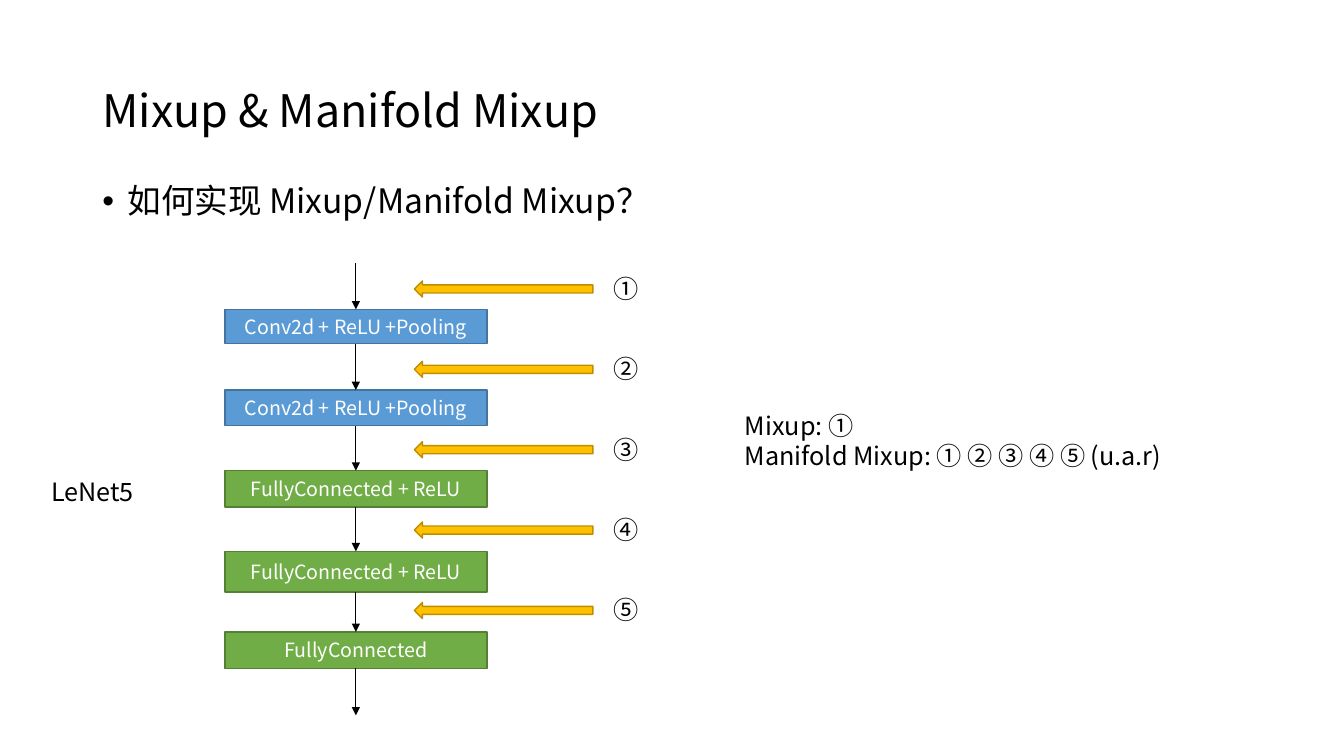
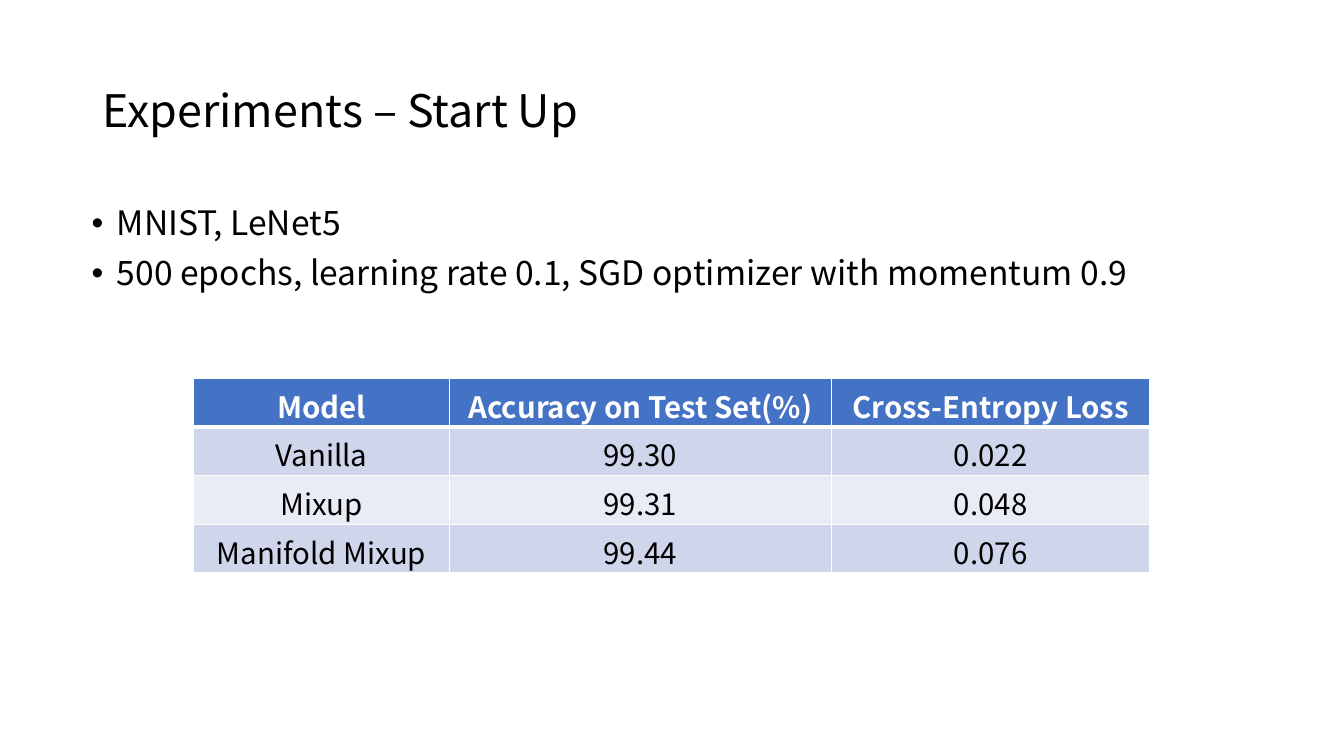
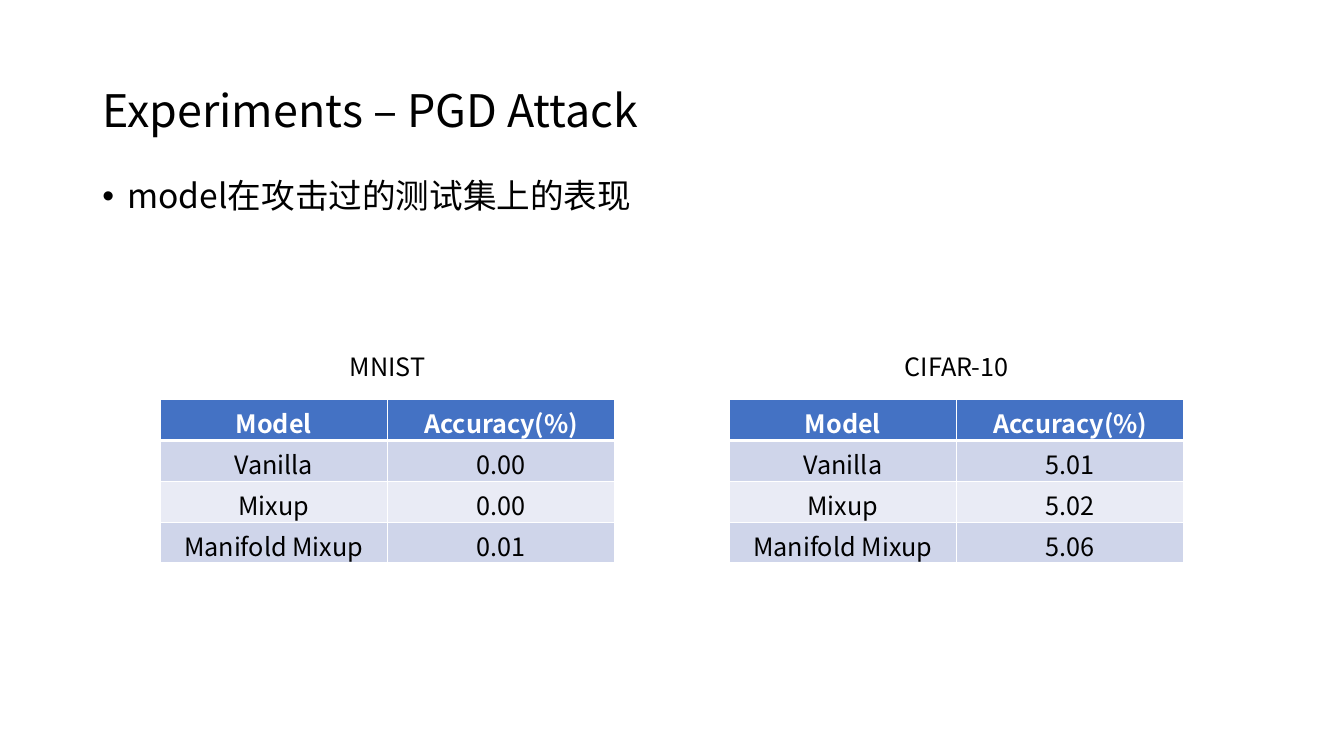
from lxml.etree import SubElement
from pptx import Presentation
from pptx.dml.color import RGBColor
from pptx.enum.shapes import MSO_CONNECTOR, MSO_SHAPE
from pptx.enum.text import MSO_ANCHOR, MSO_AUTO_SIZE, PP_ALIGN
from pptx.oxml.ns import qn
from pptx.util import Pt

# Shared style
FONT = "Noto Sans CJK SC"
MONO_FONT = "Noto Sans Mono"
BLACK = RGBColor(0x00, 0x00, 0x00)
WHITE = RGBColor(0xFF, 0xFF, 0xFF)
BLUE = RGBColor(0x5B, 0x9B, 0xD5)
BLUE_EDGE = RGBColor(0x43, 0x73, 0x9E)
GREEN = RGBColor(0x70, 0xAD, 0x47)
GREEN_EDGE = RGBColor(0x53, 0x80, 0x35)
GOLD = RGBColor(0xFF, 0xC0, 0x00)
GOLD_EDGE = RGBColor(0xBD, 0x8E, 0x00)
HEADER_FILL = RGBColor(0x44, 0x72, 0xC4)
BAND_FILLS = (RGBColor(0xCF, 0xD5, 0xEA), RGBColor(0xE9, 0xEB, 0xF5))

# Network diagram: tops follow one pitch
PITCH = 57.6
LAYER_LEFT, LAYER_WIDTH, LAYER_TOP = 160.6, 187.2, 221
FLOW_TOP, FLOW_BOTTOM = 188, 511
MARK_TOP = 200.7
LAYERS = (
    ("Conv2d + ReLU +Pooling", 24.5, BLUE, BLUE_EDGE),
    ("Conv2d + ReLU +Pooling", 25.5, BLUE, BLUE_EDGE),
    ("FullyConnected + ReLU", 26, GREEN, GREEN_EDGE),
    ("FullyConnected + ReLU", 29, GREEN, GREEN_EDGE),
    ("FullyConnected", 26, GREEN, GREEN_EDGE),
)


def place(left, top, width, height):
    return Pt(left), Pt(top), Pt(width), Pt(height)


def style_run(run, size, color=BLACK, bold=False, font_name=FONT):
    font = run.font
    font.size, font.bold, font.name = Pt(size), bold, font_name
    font.color.rgb = color
    east_asian = SubElement(run._r.get_or_add_rPr(), qn("a:ea"))
    east_asian.set("typeface", FONT)


def style_paragraphs(text_frame, size, color=BLACK, bold=False,
                     align=PP_ALIGN.LEFT):
    for paragraph in text_frame.paragraphs:
        paragraph.alignment = align
        for run in paragraph.runs:
            style_run(run, size, color, bold)


def add_titled_slide(presentation, title_text):
    slide = presentation.slides.add_slide(presentation.slide_layouts[5])
    title = slide.shapes.title
    title.left, title.top, title.width, title.height = place(66, 28.8, 828, 104.4)
    text_frame = title.text_frame
    text_frame.text = title_text
    text_frame.auto_size = MSO_AUTO_SIZE.NONE
    text_frame.vertical_anchor = MSO_ANCHOR.MIDDLE
    text_frame.paragraphs[0].line_spacing = 0.9
    style_paragraphs(text_frame, 32)
    return slide


def add_bullets(slide, left, top, width, items):
    """Each item is a list of (text, font name) runs."""
    box = slide.shapes.add_textbox(*place(left, top, width, 342.7))
    text_frame = box.text_frame
    text_frame.word_wrap = True
    for index, item in enumerate(items):
        paragraph = text_frame.add_paragraph() if index else text_frame.paragraphs[0]
        paragraph.line_spacing = 0.9
        paragraph.space_before = Pt(10 if index else 0)
        properties = paragraph._p.get_or_add_pPr()
        properties.set("marL", str(Pt(18)))
        properties.set("indent", str(-Pt(18)))
        SubElement(properties, qn("a:buFont")).set("typeface", "Arial")
        SubElement(properties, qn("a:buChar")).set("char", "•")
        for text, font_name in item:
            run = paragraph.add_run()
            run.text = text
            style_run(run, 24, font_name=font_name)


def add_label(slide, left, top, width, text, height=29, align=PP_ALIGN.LEFT):
    box = slide.shapes.add_textbox(*place(left, top, width, height))
    text_frame = box.text_frame
    text_frame.word_wrap = True
    text_frame.auto_size = MSO_AUTO_SIZE.SHAPE_TO_FIT_TEXT
    text_frame.text = text
    style_paragraphs(text_frame, 18, align=align)


def add_block(slide, kind, bounds, fill, edge, text=""):
    shape = slide.shapes.add_shape(kind, *place(*bounds))
    shape.shadow.inherit = False
    shape.fill.solid()
    shape.fill.fore_color.rgb = fill
    shape.line.color.rgb = edge
    shape.line.width = Pt(1)
    if text:
        shape.text_frame.text = text
        shape.text_frame.vertical_anchor = MSO_ANCHOR.MIDDLE
        style_paragraphs(shape.text_frame, 14, WHITE, align=PP_ALIGN.CENTER)
    return shape


def add_flow_arrow(slide, upper, lower):
    """Arrow down between two blocks; an open end stops at the flow's limit."""
    center = Pt(LAYER_LEFT + LAYER_WIDTH / 2)
    connector = slide.shapes.add_connector(
        MSO_CONNECTOR.STRAIGHT, center, Pt(FLOW_TOP), center, Pt(FLOW_BOTTOM))
    if upper is not None:
        connector.begin_connect(upper, 2)
    if lower is not None:
        connector.end_connect(lower, 0)
    connector.line.color.rgb = BLACK
    connector.line.width = Pt(0.5)
    SubElement(connector.line._get_or_add_ln(), qn("a:tailEnd")).set("type", "triangle")
    SubElement(connector._element.spPr, qn("a:effectLst"))


def set_borders(cell, top=1, bottom=1):
    properties = cell._tc.get_or_add_tcPr()
    for side, width in (("L", 1), ("R", 1), ("T", top), ("B", bottom)):
        line = SubElement(properties, qn(f"a:ln{side}"), w=str(Pt(width)))
        fill = SubElement(line, qn("a:solidFill"))
        SubElement(fill, qn("a:srgbClr")).set("val", str(WHITE))


def add_results(slide, left, top, column_widths, row_height, size, rows,
                margins=(7.2, 3.6)):
    frame = slide.shapes.add_table(
        len(rows), len(column_widths),
        *place(left, top, sum(column_widths), row_height * len(rows)))
    table = frame.table
    table.horz_banding = False
    for column, width in zip(table.columns, column_widths):
        column.width = Pt(width)
    for row_index, values in enumerate(rows):
        header = row_index == 0
        table.rows[row_index].height = Pt(row_height)
        for column_index, value in enumerate(values):
            cell = table.cell(row_index, column_index)
            set_borders(cell, 3 if row_index == 1 else 1, 3 if header else 1)
            cell.fill.solid()
            cell.fill.fore_color.rgb = (
                HEADER_FILL if header else BAND_FILLS[(row_index - 1) % 2])
            cell.margin_left = cell.margin_right = Pt(margins[0])
            cell.margin_top = cell.margin_bottom = Pt(margins[1])
            cell.vertical_anchor = MSO_ANCHOR.MIDDLE
            cell.text_frame.text = value
            style_paragraphs(cell.text_frame, size, WHITE if header else BLACK,
                             header, PP_ALIGN.CENTER)


def build_network_slide(presentation):
    slide = add_titled_slide(presentation, "Mixup & Manifold Mixup")
    add_bullets(slide, 66, 128.2, 828, [[("如何实现 Mixup/Manifold Mixup？", FONT)]])

    # Layers, top to bottom
    blocks = [
        add_block(slide, MSO_SHAPE.RECTANGLE,
                  (LAYER_LEFT, LAYER_TOP + index * PITCH, LAYER_WIDTH, height),
                  fill, edge, text)
        for index, (text, height, fill, edge) in enumerate(LAYERS)
    ]
    for upper, lower in zip([None] + blocks, blocks + [None]):
        add_flow_arrow(slide, upper, lower)

    # Numbered mixing points
    for index, number in enumerate("①②③④⑤"):
        top = MARK_TOP + index * 57.4
        add_block(slide, MSO_SHAPE.LEFT_ARROW, (296, top, 127.5, 11.5), GOLD, GOLD_EDGE)
        add_label(slide, 431.3, top - 9.1, 35.3, number)

    add_label(slide, 29.5, 336.5, 89.3, "LeNet5")
    add_label(slide, 525, 289.5, 347.8,
              "Mixup: ①\nManifold Mixup: ① ② ③ ④ ⑤ (u.a.r)", height=51)


def build_startup_slide(presentation):
    slide = add_titled_slide(presentation, "Experiments – Start Up")
    add_bullets(slide, 58.3, 144, 843.8, [
        [("MNIST, LeNet5", FONT)],
        [("500 epochs, learning rate 0.1, SGD optimizer with momentum 0.9", FONT)],
    ])
    add_results(slide, 138.4, 270.3, (182.6, 272.9, 227.5), 34.7, 21, (
        ("Model", "Accuracy on Test Set(%)", "Cross-Entropy Loss"),
        ("Vanilla", "99.30", "0.022"),
        ("Mixup", "99.31", "0.048"),
        ("Manifold Mixup", "99.44", "0.076"),
    ), margins=(8.4, 4.2))


def build_attack_slide(presentation):
    slide = add_titled_slide(presentation, "Experiments – PGD Attack")
    add_bullets(slide, 66, 124.6, 828,
                [[("model", FONT), ("在攻击过的测试集上的表现", MONO_FONT)]])
    models = ("Vanilla", "Mixup", "Manifold Mixup")
    column_width, caption_width = 162.5, 139
    for data_set, left, accuracies in (
        ("MNIST", 114.3, ("0.00", "0.00", "0.01")),
        ("CIFAR-10", 520.8, ("5.01", "5.02", "5.06")),
    ):
        add_results(slide, left, 285.4, (column_width, column_width), 29.2, 18,
                    [("Model", "Accuracy(%)"), *zip(models, accuracies)])
        add_label(slide, left + column_width - caption_width / 2, 247.7,
                  caption_width, data_set, align=PP_ALIGN.CENTER)


def main():
    presentation = Presentation()
    presentation.slide_width, presentation.slide_height = Pt(960), Pt(540)
    build_network_slide(presentation)
    build_startup_slide(presentation)
    build_attack_slide(presentation)
    presentation.save("out.pptx")


if __name__ == "__main__":
    main()
